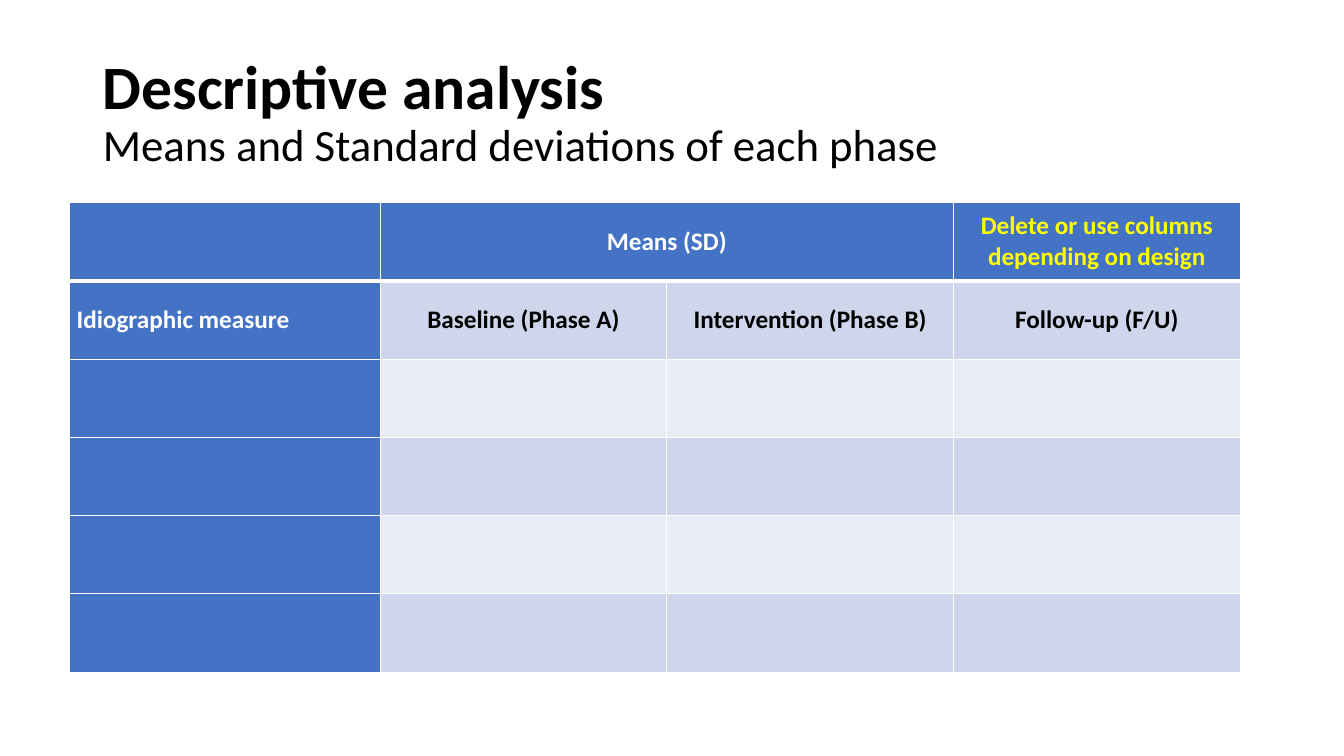
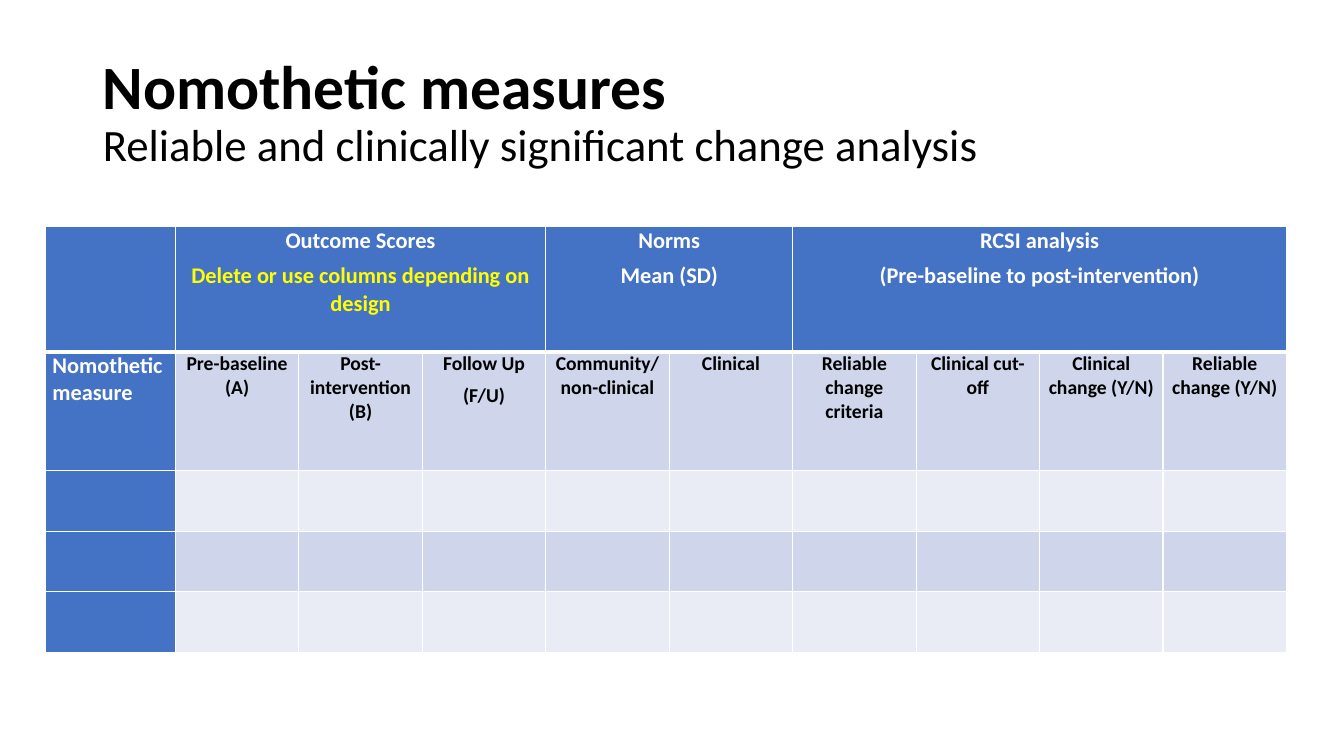
from lxml import etree
from pptx import Presentation
from pptx.dml.color import RGBColor
from pptx.enum.text import MSO_ANCHOR, MSO_AUTO_SIZE, PP_ALIGN
from pptx.oxml.ns import qn
from pptx.util import Inches, Pt

LEFT, CENTER = PP_ALIGN.LEFT, PP_ALIGN.CENTER
TOP, MIDDLE = MSO_ANCHOR.TOP, MSO_ANCHOR.MIDDLE
NO_FIT = MSO_AUTO_SIZE.NONE

BLUE = RGBColor(0x44, 0x72, 0xC4)
DARK = RGBColor(0xCF, 0xD5, 0xEA)
PALE = RGBColor(0xE9, 0xEB, 0xF5)
WHITE = RGBColor(0xFF, 0xFF, 0xFF)
BLACK = RGBColor(0x00, 0x00, 0x00)
YELLOW = RGBColor(0xFF, 0xFF, 0x00)
FONT = "Calibri"
NOTE = "Delete or use columns depending on design"


def add_text(para, text, size, color=BLACK, bold=True, align=LEFT, after=0):
    """Add one formatted run to a paragraph."""
    para.alignment = align
    para.space_after = Pt(after)
    run = para.add_run()
    run.text = text
    font = run.font
    font.name, font.size, font.bold = FONT, Pt(size), bold
    font.color.rgb = color


def add_slide(prs, head, sub):
    """Add a slide with a bold title and a lighter second line."""
    slide = prs.slides.add_slide(prs.slide_layouts[5])
    title = slide.shapes.title
    title.left, title.top = Inches(0.92), Inches(0.4)
    title.width, title.height = Inches(11.5), Inches(1.45)
    frame = title.text_frame
    frame.word_wrap = True
    frame.auto_size = NO_FIT
    frame.vertical_anchor = MIDDLE
    para = frame.paragraphs[0]
    para.line_spacing = 0.9
    add_text(para, head, 44)
    para.add_line_break()
    add_text(para, sub, 32, bold=False)
    return slide


def set_border(cell, row):
    """Draw white cell edges, with a thick rule under the header row."""
    widths = {"L": 1, "R": 1, "T": 3 if row == 1 else 1, "B": 3 if row == 0 else 1}
    props = cell._tc.get_or_add_tcPr()
    for i, (side, width) in enumerate(widths.items()):
        line = etree.Element(qn(f"a:ln{side}"), w=str(Pt(width)))
        fill = etree.SubElement(line, qn("a:solidFill"))
        etree.SubElement(fill, qn("a:srgbClr"), val=str(WHITE))
        props.insert(i, line)


def fill_cell(cell, lines, size, color, align, anchor):
    """Write each line as a paragraph; the design note is yellow."""
    cell.margin_left = cell.margin_right = Inches(0.07)
    cell.margin_top = cell.margin_bottom = 0
    cell.vertical_anchor = anchor
    frame = cell.text_frame
    for i, line in enumerate(lines):
        para = frame.add_paragraph() if i else frame.paragraphs[0]
        tone = YELLOW if line == NOTE else color
        add_text(para, line, size, color=tone, align=align, after=6)


def add_grid(slide, box, first, heights, groups, label, heads,
             size, small, anchor):
    """Add a table; groups are (span, lines) pairs of the header row."""
    left, top, width = box
    count = len(heads) + 1
    frame = slide.shapes.add_table(
        len(heights), count, Inches(left), Inches(top),
        Inches(width), Inches(sum(heights)))
    table = frame.table
    table.first_row = table.horz_banding = False
    for i, col in enumerate(table.columns):
        col.width = Inches((width - first) / len(heads) if i else first)
    for row, height in zip(table.rows, heights):
        row.height = Inches(height)

    # Fills and edges
    for r in range(len(heights)):
        for c in range(count):
            cell = table.cell(r, c)
            cell.fill.solid()
            band = DARK if r % 2 else PALE
            cell.fill.fore_color.rgb = BLUE if r == 0 or c == 0 else band
            set_border(cell, r)

    # Header groups
    col = 1
    for span, lines in groups:
        cell = table.cell(0, col)
        if span > 1:
            cell.merge(table.cell(0, col + span - 1))
        fill_cell(cell, lines, size, WHITE, CENTER, anchor)
        col += span

    # Column heads
    fill_cell(table.cell(1, 0), [label], size, WHITE, LEFT, anchor)
    for c, lines in enumerate(heads, 1):
        fill_cell(table.cell(1, c), lines, small, BLACK, CENTER, anchor)


def add_means(prs):
    slide = add_slide(prs, "Descriptive analysis",
                      "Means and Standard deviations of each phase")
    add_grid(
        slide, (0.69, 2.01, 11.61), 3.08, [4.66 / 6] * 6,
        groups=[(2, ["Means (SD)"]), (1, [NOTE])],
        label="Idiographic measure",
        heads=[["Baseline (Phase A)"], ["Intervention (Phase B)"],
               ["Follow-up (F/U)"]],
        size=18, small=18, anchor=MIDDLE)


def add_change(prs):
    slide = add_slide(prs, "Nomothetic measures",
                      "Reliable and clinically significant change analysis")
    add_grid(
        slide, (0.45, 2.25, 12.31), 1.29, [1.24, 1.18] + [0.6] * 3,
        groups=[(3, ["Outcome Scores", NOTE]),
                (2, ["Norms", "Mean (SD)"]),
                (4, ["RCSI analysis", "(Pre-baseline to post-intervention)"])],
        label="Nomothetic measure",
        heads=[["Pre-baseline (A)"], ["Post-intervention (B)"],
               ["Follow Up", "(F/U)"], ["Community/ non-clinical"],
               ["Clinical"], ["Reliable change criteria"],
               ["Clinical cut-off"], ["Clinical change (Y/N)"],
               ["Reliable change (Y/N)"]],
        size=16, small=14, anchor=TOP)


def main():
    prs = Presentation()
    prs.slide_width, prs.slide_height = Inches(13.33), Inches(7.5)
    add_means(prs)
    add_change(prs)
    prs.save("out.pptx")


if __name__ == "__main__":
    main()
